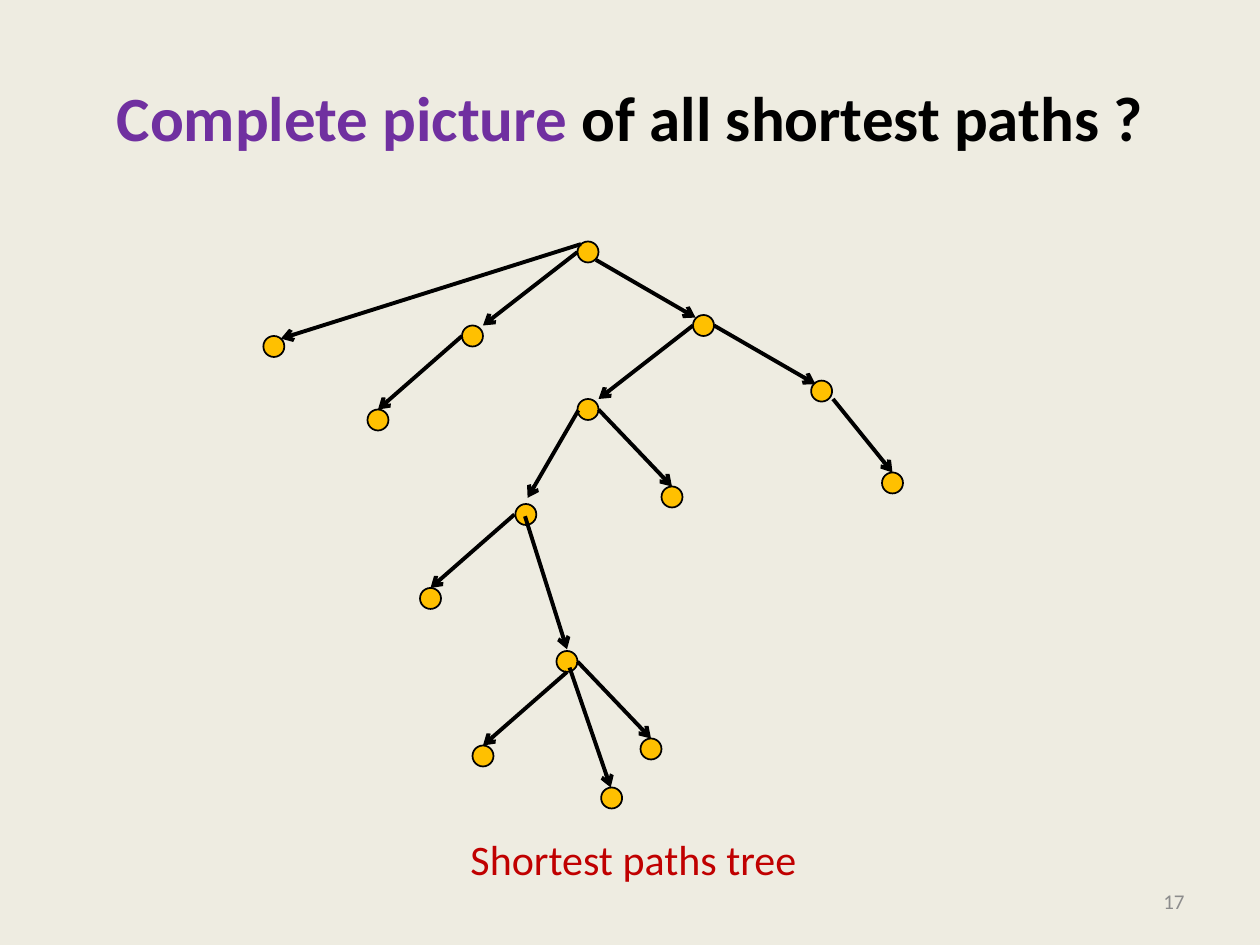
from lxml.etree import SubElement
from pptx import Presentation
from pptx.dml.color import RGBColor as Rgb
from pptx.enum.shapes import MSO_CONNECTOR as Connector, MSO_SHAPE as Preset
from pptx.enum.text import MSO_ANCHOR as Anchor, PP_ALIGN as Align
from pptx.oxml.ns import qn
from pptx.util import Pt

COLORS = {
    "background": "EEECE1",
    "black": "000000",
    "purple": "7030A0",
    "red": "C00000",
    "gray": "8C8C8C",
    "gold": "FFC000",
}
NODE_SIZE = 12
ROOT = (330, 138)
BRANCHES = [
    ((396, 180), (340.5, 148.5), (397.5, 181.5)),
    ((330, 228), (396, 186), (342, 228)),
    ((264, 186), (330, 144), (276, 186)),
    ((463.5, 217.5), (408, 186), (466, 219.5)),
    ((294.5, 288), (330.5, 234.5), (301.5, 284.5)),
    ((150.5, 192), (332, 139.5), (160.5, 193.5)),
    ((318, 372), (300, 295), (324, 371)),
    ((210, 234), (264, 192), (216, 234)),
    ((240, 336), (294, 294), (246, 336)),
    ((378, 278), (342, 234), (384, 278)),
    ((270, 426), (324, 384), (276, 426)),
    ((504, 270), (476, 228), (510, 270)),
    ((366, 422), (330, 378), (372, 422)),
    ((343.5, 450), (325.5, 381.5), (349, 450)),
]


def color(name):
    return Rgb.from_string(COLORS[name])


def add_span(para, text, size=24, fill="black", bold=False, font="Calibri"):
    span = para.add_run()
    span.text = text
    span.font.name = font
    span.font.size = Pt(size)
    span.font.bold = bold
    span.font.color.rgb = color(fill)


class TreeSlide:
    def __init__(self, deck):
        self.page = deck.slides.add_slide(deck.slide_layouts[5])
        self.page.background.fill.solid()
        self.page.background.fill.fore_color.rgb = color("background")

    def title(self, spans):
        box = self.page.shapes.title
        box.left, box.top, box.width, box.height = Pt(36), Pt(21.6), Pt(648), Pt(90)
        box.text_frame.vertical_anchor = Anchor.MIDDLE
        para = box.text_frame.paragraphs[0]
        para.alignment = Align.CENTER
        for text, fill in spans:
            add_span(para, text, size=36, fill=fill, bold=True)

    def label(self, text, left, top, width, height, align, **style):
        box = self.page.shapes.add_textbox(Pt(left), Pt(top), Pt(width), Pt(height))
        box.text_frame.word_wrap = True
        box.text_frame.vertical_anchor = Anchor.MIDDLE
        para = box.text_frame.paragraphs[0]
        para.alignment = align
        add_span(para, text, **style)

    def node(self, left, top):
        dot = self.page.shapes.add_shape(
            Preset.OVAL, Pt(left), Pt(top), Pt(NODE_SIZE), Pt(NODE_SIZE))
        dot.shadow.inherit = False
        dot.fill.solid()
        dot.fill.fore_color.rgb = color("gold")
        dot.line.color.rgb = color("black")
        dot.line.width = Pt(1)

    def arrow(self, start, end):
        points = [Pt(value) for value in (*start, *end)]
        edge = self.page.shapes.add_connector(Connector.STRAIGHT, *points)
        edge.line.color.rgb = color("black")
        edge.line.width = Pt(2.25)
        SubElement(edge.line._get_or_add_ln(), qn("a:tailEnd"), type="arrow")
        SubElement(edge._element.spPr, qn("a:effectLst"))


def main():
    deck = Presentation()
    deck.slide_width, deck.slide_height = Pt(720), Pt(540)
    slide = TreeSlide(deck)
    slide.title([("Complete picture ", "purple"), ("of all shortest paths ?", "black")])
    slide.node(*ROOT)
    for position, start, end in BRANCHES:
        slide.node(*position)
    for position, start, end in BRANCHES:
        slide.arrow(start, end)
    slide.label("Shortest paths tree", 38, 473, 648, 36, Align.CENTER, fill="red")
    slide.label("17", 516, 500.5, 168, 28.8, Align.RIGHT, size=12, fill="gray")
    deck.save("out.pptx")


if __name__ == "__main__":
    main()
